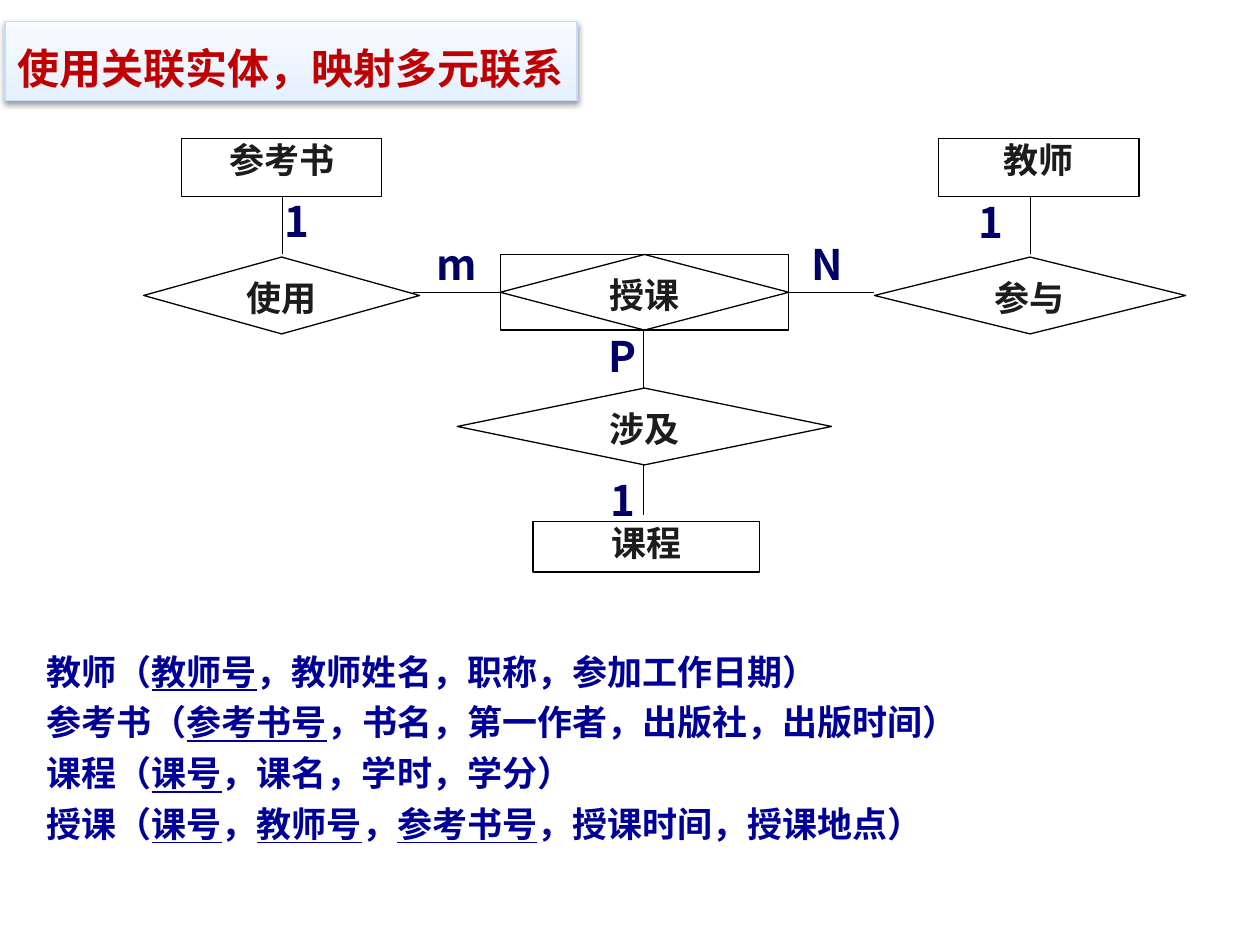
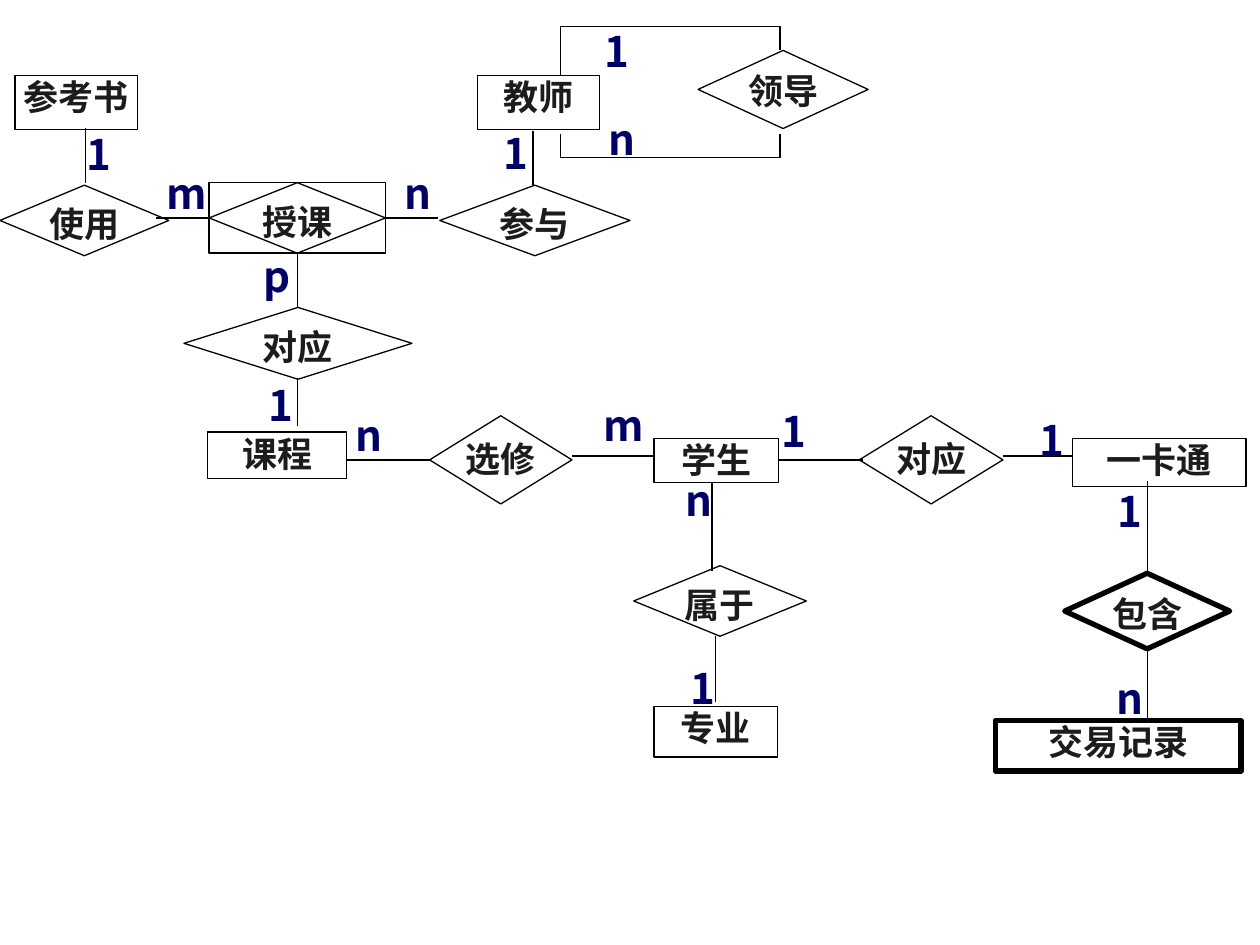
import pptx
import pptx.dml.color
import pptx.enum.shapes
import pptx.enum.text
import pptx.oxml
import pptx.oxml.ns
import pptx.util
from lxml import etree

PX = 9144  # 100 px to the inch
FONT = "Noto Sans CJK SC"
COLORS = {
    "paper": "FFFFFF",
    "outline": "000000",
    "node": "1C1C1C",
    "cardinality": "000066",
    "schema": "000099",
    "title": "C00000",
    "band_bottom": "E6F1FF",
    "band_top": "F8FBFF",
    "band_edge": "C4DDFB",
}
RGB = {part: pptx.dml.color.RGBColor.from_string(value) for part, value in COLORS.items()}
RECT = pptx.enum.shapes.MSO_SHAPE.RECTANGLE
DIAMOND = pptx.enum.shapes.MSO_SHAPE.DIAMOND
STRAIGHT = pptx.enum.shapes.MSO_CONNECTOR.STRAIGHT
CENTER = pptx.enum.text.PP_ALIGN.CENTER
LEFT = pptx.enum.text.PP_ALIGN.LEFT
FIT = pptx.enum.text.MSO_AUTO_SIZE.SHAPE_TO_FIT_TEXT
NO_FIT = pptx.enum.text.MSO_AUTO_SIZE.NONE


def write(shape, text, *, color, size=20, align=LEFT, inset=None, wrap=True,
          fit=NO_FIT, gap=0, spacing=None):
    """Fill a shape with bold lines; words between underscores are underlined."""
    frame = shape.text_frame
    frame.word_wrap = wrap
    frame.auto_size = fit
    frame.vertical_anchor = pptx.enum.text.MSO_ANCHOR.TOP
    if inset is not None:
        frame.margin_left = frame.margin_right = inset
        frame.margin_top = frame.margin_bottom = inset
    for row, line in enumerate(text.split("\n")):
        paragraph = frame.add_paragraph() if row else frame.paragraphs[0]
        paragraph.alignment = align
        paragraph.space_before = pptx.util.Pt(gap if row else 0)
        if spacing:
            paragraph.line_spacing = spacing
        for index, piece in enumerate(line.split("_")):
            run = paragraph.add_run()
            run.text = piece
            font = run.font
            font.name, font.size, font.bold = FONT, pptx.util.Pt(size), True
            font.color.rgb = RGB[color]
            if index % 2:
                font.underline = True
            east_asian = etree.SubElement(font._element, pptx.oxml.ns.qn("a:ea"))
            east_asian.set("typeface", FONT)


# Width of the box around each cardinality letter
LETTER_WIDTHS = {"1": 41, "m": 53, "n": 42, "p": 43, "P": 42, "N": 49}

# Nodes: left, top, width, height, name. Links: x1, y1, x2, y2. Cardinalities: left, top, letter.
teaching = {
    "layout": 5,
    "entities": [(423, 414, 180, 40, "课程"), (144, 110, 159, 46, "参考书"),
                 (745, 110, 159, 46, "教师")],
    "relations": [(363, 308, 297, 61, "涉及"), (397, 202, 229, 60, "授课"),
                  (114, 204, 219, 61, "使用"), (694, 204, 247, 61, "参与")],
    "links": [(511, 368, 511, 409), (224, 156, 224, 202), (328, 232, 397, 232),
              (626, 232, 694, 232), (818, 156, 818, 202), (511, 262, 511, 308)],
    "cardinalities": [(216, 150, "1"), (337, 184, "m"), (473, 257, "P"),
                      (475, 372, "1"), (634, 184, "N"), (767, 151, "1")],
}
campus = {
    "layout": 6,
    "entities": [(165, 343, 110, 37, "课程"), (519, 561, 98, 40, "专业"),
                 (519, 348, 99, 35, "学生"), (851, 348, 138, 38, "一卡通"),
                 (790, 572, 195, 40, "交易记录"), (12, 60, 97, 43, "参考书"),
                 (379, 60, 97, 43, "教师")],
    "relations": [(146, 244, 181, 57, "对应"), (503, 449, 137, 56, "属于"),
                  (682, 330, 114, 70, "对应"), (341, 330, 113, 70, "选修"),
                  (845, 455, 131, 60, "包含"), (166, 145, 140, 56, "授课"),
                  (0, 147, 134, 56, "使用"), (349, 147, 151, 56, "参与"),
                  (554, 40, 135, 62, "领导")],
    "links": [(236, 300, 236, 338), (568, 505, 568, 557), (454, 362, 519, 362),
              (796, 362, 851, 362), (911, 382, 911, 455), (911, 513, 911, 572),
              (565, 383, 565, 453), (618, 365, 685, 365), (275, 365, 341, 365),
              (68, 102, 68, 145), (124, 173, 166, 173), (306, 173, 348, 173),
              (423, 104, 423, 147), (236, 201, 236, 244),
              (445, 21, 445, 60), (445, 21, 619, 21), (619, 21, 619, 40),
              (445, 106, 445, 125), (445, 125, 619, 125), (619, 106, 619, 125)],
    "cardinalities": [(59, 97, "1"), (122, 128, "m"), (199, 194, "p"), (203, 296, "1"),
                      (311, 128, "n"), (390, 96, "1"), (473, 85, "n"), (470, 15, "1"),
                      (469, 312, "m"), (272, 320, "n"), (876, 529, "n"), (538, 521, "1"),
                      (610, 317, "1"), (815, 324, "1"), (877, 380, "1"), (534, 372, "n")],
}
WEAK = {"交易记录", "包含"}  # weak entity and its relation have a heavy outline
ASSOCIATIVE = "授课"  # a relation that is also an entity: diamond inside a box

deck = pptx.Presentation()
deck.slide_width, deck.slide_height = 1000 * PX, 750 * PX
slides = []

for diagram in (teaching, campus):
    slide = deck.slides.add_slide(deck.slide_layouts[diagram["layout"]])
    slides.append(slide)

    nodes = [(RECT, *entity) for entity in diagram["entities"]]
    for relation in diagram["relations"]:
        nodes.append((DIAMOND, *relation))
        if relation[-1] == ASSOCIATIVE:
            nodes.append((RECT, *relation[:4], ""))
    for outline, left, top, width, height, name in nodes:
        node = slide.shapes.add_shape(outline, left * PX, top * PX, width * PX, height * PX)
        node.shadow.inherit = False
        node.line.color.rgb = RGB["outline"]
        node.line.width = pptx.util.Pt(3 if name in WEAK else 0.75)
        if name:
            node.fill.solid()
            node.fill.fore_color.rgb = RGB["paper"]
            write(node, name, color="node", align=CENTER, inset=0)
        else:
            node.fill.background()

    for ends in diagram["links"]:
        link = slide.shapes.add_connector(STRAIGHT, *(value * PX for value in ends))
        link.line.color.rgb = RGB["outline"]
        link.line.width = pptx.util.Pt(0.75)
        etree.SubElement(link._element.spPr, pptx.oxml.ns.qn("a:effectLst"))

    for left, top, letter in diagram["cardinalities"]:
        cardinality = slide.shapes.add_textbox(
            left * PX, top * PX, LETTER_WIDTHS[letter] * PX, 51 * PX)
        write(cardinality, letter, color="cardinality", size=24, wrap=False, fit=FIT)

# Relational schemas under the teaching diagram
schemas = slides[0].shapes.add_textbox(27 * PX, 511 * PX, 945 * PX, 195 * PX)
write(schemas,
      "教师（_教师号_，教师姓名，职称，参加工作日期）\n"
      "参考书（_参考书号_，书名，第一作者，出版社，出版时间）\n"
      "课程（_课号_，课名，学时，学分）\n"
      "授课（_课号_，_教师号_，_参考书号_，授课时间，授课地点）",
      color="schema", gap=5)

# Title band
title = slides[0].shapes.title
title.left, title.top, title.width, title.height = 4 * PX, 17 * PX, 454 * PX, 63 * PX
write(title, "使用关联实体，映射多元联系", color="title", size=24, wrap=False, spacing=1.3)
title.fill.gradient()
title.fill.gradient_angle = 90
for stop, part in zip(title.fill.gradient_stops, ("band_bottom", "band_top")):
    stop.color.rgb = RGB[part]
title.line.color.rgb = RGB["band_edge"]
title.line.width = pptx.util.Pt(0.75)
title._element.spPr.append(pptx.oxml.parse_xml(
    f'<a:effectLst {pptx.oxml.ns.nsdecls("a")}>'
    '<a:outerShdw blurRad="40000" dist="20000" dir="5400000" rotWithShape="0">'
    f'<a:srgbClr val="{COLORS["outline"]}"><a:alpha val="38000"/></a:srgbClr>'
    '</a:outerShdw></a:effectLst>'))

deck.save("out.pptx")
